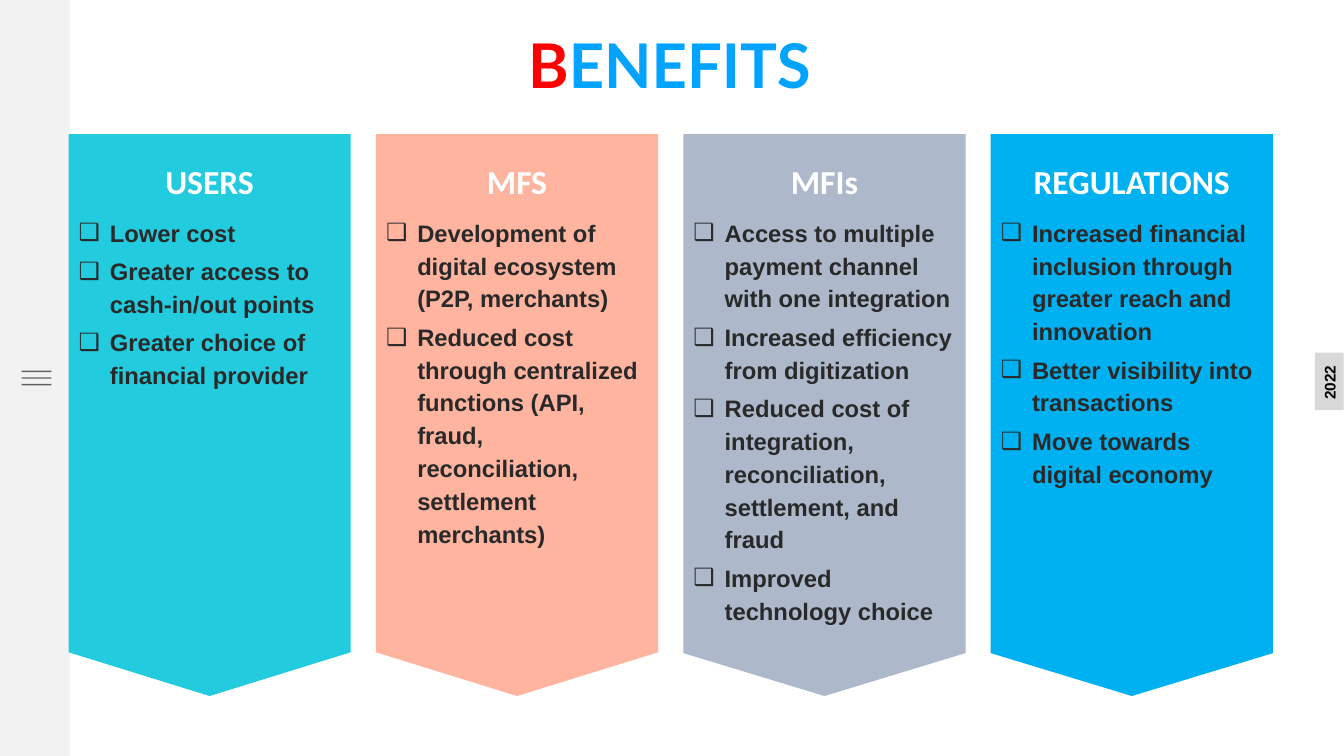
from lxml.etree import SubElement
from pptx import Presentation
from pptx.dml.color import RGBColor
from pptx.enum.shapes import MSO_CONNECTOR, MSO_SHAPE
from pptx.enum.text import MSO_ANCHOR, MSO_AUTO_SIZE, PP_ALIGN
from pptx.oxml.ns import qn
from pptx.util import Inches, Pt

BLACK = RGBColor(0x00, 0x00, 0x00)
WHITE = RGBColor(0xFF, 0xFF, 0xFF)
RAIL = RGBColor(0xF2, 0xF2, 0xF2)
TAG = RGBColor(0xD8, 0xD8, 0xD8)
INK = RGBColor(0x29, 0x29, 0x29)
RED = RGBColor(0xFF, 0x00, 0x00)
BLUE = RGBColor(0x00, 0xA3, 0xFF)
TURQUOISE = RGBColor(0x22, 0xCC, 0xDE)
PEACH = RGBColor(0xFE, 0xB4, 0x9F)
SLATE = RGBColor(0xAD, 0xB9, 0xCA)
AZURE = RGBColor(0x00, 0xB1, 0xF1)

COLUMN_LEFT, COLUMN_STEP, COLUMN_WIDTH = 1.36, 6.1, 5.6
BANNER_TOP, BANNER_HEIGHT = 2.66, 11.15

# heading, heading width, colour, point depth, list height, benefits
COLUMNS = [
    ("USERS", 2.19, TURQUOISE, 0.155, 4.03, [
        "Lower cost",
        "Greater access to cash-in/out points",
        "Greater choice of financial provider"]),
    ("MFS", 1.62, PEACH, 0.155, 7.21, [
        "Development of digital ecosystem (P2P, merchants)",
        "Reduced cost through centralized functions (API, fraud, "
        "reconciliation, settlement merchants)"]),
    ("MFIs", 1.75, SLATE, 0.152, 8.75, [
        "Access to multiple payment channel with one integration",
        "Increased efficiency from digitization",
        "Reduced cost of integration, reconciliation, settlement, and fraud",
        "Improved technology choice"]),
    ("REGULATIONS", 4.4, AZURE, 0.152, 6, [
        "Increased financial inclusion through greater reach and innovation",
        "Better visibility into transactions",
        "Move towards digital economy"]),
]


def place(shape, left, top, width, height):
    """Move and size a shape, in inches."""
    shape.left, shape.top = Inches(left), Inches(top)
    shape.width, shape.height = Inches(width), Inches(height)


def set_insets(frame, across, down):
    """Set the side and the top and bottom margins of a text frame."""
    frame.margin_left = frame.margin_right = Inches(across)
    frame.margin_top = frame.margin_bottom = Inches(down)


def set_font(font, name, size, color=None):
    """Set a bold font with its size and optional colour."""
    font.name, font.size, font.bold = name, Pt(size), True
    if color is not None:
        font.color.rgb = color


def add_block(slide, kind, left, top, width, height, color, rotation=0):
    """Add a flat filled shape without outline."""
    block = slide.shapes.add_shape(
        kind, Inches(left), Inches(top), Inches(width), Inches(height))
    block.shadow.inherit = False
    block.fill.solid()
    block.fill.fore_color.rgb = color
    block.line.fill.background()
    block.rotation = rotation
    return block


def add_menu_line(slide, y):
    """Add one translucent line of the menu mark."""
    line = slide.shapes.add_connector(
        MSO_CONNECTOR.STRAIGHT, Inches(0.43), Inches(y), Inches(1.02), Inches(y))
    line.line.width = Pt(2)
    line.line.color.rgb = BLACK
    properties = line.element.spPr
    color = properties.find(".//" + qn("a:srgbClr"))
    SubElement(color, qn("a:alpha"), val="60000")
    SubElement(properties, qn("a:effectLst"))


def add_year_tag(slide):
    """Add the upright year tag at the right edge."""
    tag = add_block(slide, MSO_SHAPE.RECTANGLE, 25.81, 7.28, 1.14, 0.57, TAG, 270)
    frame = tag.text_frame
    set_insets(frame, 0.2, 0.1)
    year = frame.paragraphs[0]
    year.text = "2022"
    year.alignment = PP_ALIGN.LEFT
    set_font(year.font, "Arial", 22, BLACK)


def fill_title(title):
    """Write the two-coloured title."""
    place(title, 1.8, 0.01, 22.97, 2.5)
    frame = title.text_frame
    frame.auto_size = MSO_AUTO_SIZE.NONE
    frame.vertical_anchor = MSO_ANCHOR.MIDDLE
    set_insets(frame, 0.11, 0.11)
    heading = frame.paragraphs[0]
    heading.alignment = PP_ALIGN.CENTER
    set_font(heading.font, "Lato", 88)
    for letters, color in (("B", RED), ("ENEFITS", BLUE)):
        run = heading.add_run()
        run.text = letters
        run.font.color.rgb = color


def add_banner(slide, left, color, point_depth):
    """Add a column banner that points down."""
    turned_left = left + (COLUMN_WIDTH - BANNER_HEIGHT) / 2
    turned_top = BANNER_TOP + (BANNER_HEIGHT - COLUMN_WIDTH) / 2
    banner = add_block(slide, MSO_SHAPE.PENTAGON, turned_left, turned_top,
                       BANNER_HEIGHT, COLUMN_WIDTH, color, 90)
    banner.adjustments[0] = point_depth


def add_heading(slide, left, text, width):
    """Add a heading centred on its column."""
    box = slide.shapes.add_textbox(
        Inches(left + (COLUMN_WIDTH - width) / 2), Inches(2.7),
        Inches(width), Inches(1.41))
    frame = box.text_frame
    frame.word_wrap = False
    set_insets(frame, 0.2, 0.1)
    heading = frame.paragraphs[0]
    heading.text = text
    heading.alignment = PP_ALIGN.CENTER
    heading.line_spacing = 1.5
    set_font(heading.font, "Calibri", 48, WHITE)


def add_checkbox(paragraph):
    """Give a paragraph a hanging checkbox bullet."""
    properties = paragraph._p.get_or_add_pPr()
    indent = Inches(0.62)
    properties.set("marL", str(indent))
    properties.set("indent", str(-indent))
    color = SubElement(properties, qn("a:buClr"))
    SubElement(color, qn("a:srgbClr"), val=str(INK))
    SubElement(properties, qn("a:buFont"), typeface="Arial")
    SubElement(properties, qn("a:buChar"), char="❑")


def fill_benefits(slide, body, left, height, benefits):
    """Write a column's list and bring it in front of its banner."""
    place(body, left, 4.05, COLUMN_WIDTH, height)
    slide.shapes.element.append(body.element)
    frame = body.text_frame
    frame.word_wrap = True
    frame.auto_size = MSO_AUTO_SIZE.NONE
    frame.vertical_anchor = MSO_ANCHOR.TOP
    set_insets(frame, 0.2, 0.2)
    for index, benefit in enumerate(benefits):
        item = frame.add_paragraph() if index else frame.paragraphs[0]
        item.text = benefit
        add_checkbox(item)
        item.alignment = PP_ALIGN.LEFT
        item.line_spacing = 1.15
        item.space_before = Pt(8 if index else 0)
        set_font(item.font, "Arial", 34, INK)


def main():
    """Build the benefits slide."""
    deck = Presentation()
    deck.slide_width, deck.slide_height = Inches(26.67), Inches(15)
    comparison = deck.slide_layouts.get_by_name("Comparison")
    slide = deck.slides.add_slide(comparison)
    title, *bodies = slide.placeholders

    add_block(slide, MSO_SHAPE.RECTANGLE, 0, 0, 1.38, 15, RAIL)
    add_year_tag(slide)
    for y in (7.37, 7.5, 7.63):
        add_menu_line(slide, y)
    fill_title(title)
    for index, (body, column) in enumerate(zip(bodies, COLUMNS)):
        heading, heading_width, color, point_depth, list_height, benefits = column
        left = COLUMN_LEFT + index * COLUMN_STEP
        add_banner(slide, left, color, point_depth)
        add_heading(slide, left, heading, heading_width)
        fill_benefits(slide, body, left, list_height, benefits)
    deck.save("out.pptx")


if __name__ == "__main__":
    main()
